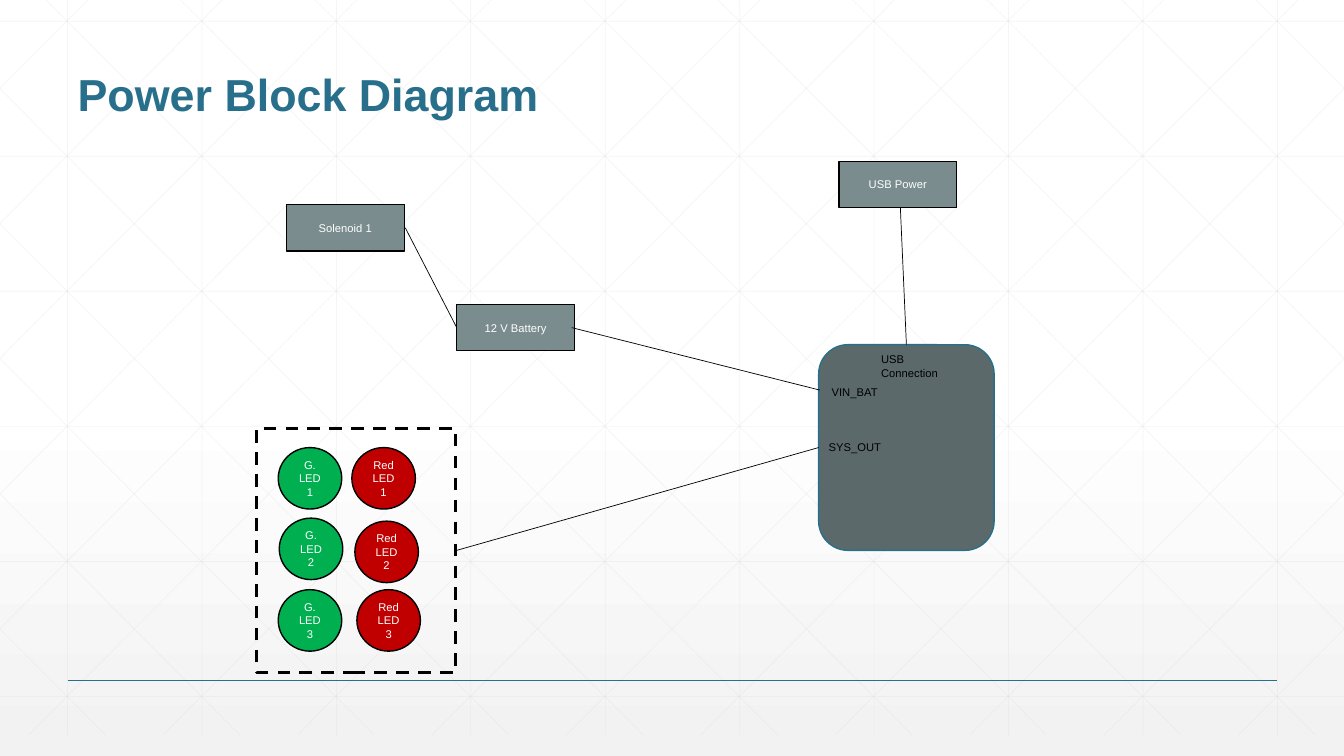
"""Build the power block diagram slide."""
from dataclasses import dataclass

from lxml import etree
from pptx import Presentation
from pptx.dml.color import RGBColor
from pptx.enum.dml import MSO_LINE
from pptx.enum.shapes import MSO_CONNECTOR, MSO_SHAPE
from pptx.enum.text import MSO_ANCHOR, MSO_AUTO_SIZE, PP_ALIGN
from pptx.oxml.ns import qn
from pptx.util import Inches, Pt

STRAIGHT = MSO_CONNECTOR.STRAIGHT
DASH = MSO_LINE.DASH
RECTANGLE, ROUNDED, ELLIPSE = MSO_SHAPE.RECTANGLE, MSO_SHAPE.ROUNDED_RECTANGLE, MSO_SHAPE.OVAL
TOP, MIDDLE, BOTTOM = MSO_ANCHOR.TOP, MSO_ANCHOR.MIDDLE, MSO_ANCHOR.BOTTOM
LEFT, CENTER = PP_ALIGN.LEFT, PP_ALIGN.CENTER
NO_FIT = MSO_AUTO_SIZE.NONE
WIDTH, HEIGHT = 13.33, 7.5


@dataclass(frozen=True)
class Theme:
    """Colours, font and type sizes of the slide."""
    font: str = "Arial"
    title_size: int = 32
    label_size: int = 8
    accent: str = "276F8B"
    grid: str = "D9D9D9"
    white: str = "FFFFFF"
    shade: str = "F2F2F2"
    black: str = "000000"
    block: str = "7A8C8E"
    board: str = "5B696B"
    green: str = "00B050"
    red: str = "C00000"


THEME = Theme()


def color(code):
    """Return the colour for a hex code."""
    return RGBColor.from_string(code)


def write(shape, text, size=THEME.label_size, ink=THEME.black, bold=False,
          align=LEFT, anchor=TOP, spacing=None):
    """Put formatted text into a shape."""
    frame = shape.text_frame
    frame.word_wrap = True
    frame.auto_size = NO_FIT
    frame.vertical_anchor = anchor
    para = frame.paragraphs[0]
    para.alignment = align
    para.line_spacing = spacing
    span = para.add_run()
    span.text = text
    span.font.name = THEME.font
    span.font.size = Pt(size)
    span.font.bold = bold
    span.font.color.rgb = color(ink)


def add_line(page, start, end, ink=THEME.black, weight=0.5, opacity=None):
    """Draw a straight line between two points."""
    line = page.shapes.add_connector(STRAIGHT, *map(Inches, start + end))
    line.line.color.rgb = color(ink)
    line.line.width = Pt(weight)
    properties = line.element.spPr
    etree.SubElement(properties, qn("a:effectLst"))
    if opacity is not None:
        tint = properties.find(".//" + qn("a:srgbClr"))
        etree.SubElement(tint, qn("a:alpha"), val=str(opacity * 1000))


def add_block(page, kind, place, text="", fill=None, outline=THEME.black, weight=1, dash=None):
    """Draw an outlined shape with an optional centred label."""
    block = page.shapes.add_shape(kind, *map(Inches, place))
    block.shadow.inherit = False
    if fill:
        block.fill.solid()
        block.fill.fore_color.rgb = color(fill)
    else:
        block.fill.background()
    block.line.color.rgb = color(outline)
    block.line.width = Pt(weight)
    if dash:
        block.line.dash_style = dash
    if text:
        write(block, text, ink=THEME.white, align=CENTER, anchor=MIDDLE)


def add_label(page, place, text):
    """Add a pin label."""
    write(page.shapes.add_textbox(*map(Inches, place)), text)


def add_background(page):
    """Fill the page with a soft vertical gradient."""
    fill = page.background.fill
    fill.gradient()
    fill.gradient_angle = 270
    for stop, position, code in zip(fill.gradient_stops, (0.53, 1), (THEME.white, THEME.shade)):
        stop.position = position
        stop.color.rgb = color(code)


def add_grid(page):
    """Draw the faint grid with both sets of diagonals."""
    top, bottom, step, run = -0.21, 7.29, 4 / 3, 7.46
    slope = (bottom - top) / run
    lines = [((0.67 + step * i, top), (0.67 + step * i, bottom)) for i in range(10)]
    lines += [((0, 0.21 + 1.34 * i), (WIDTH, 0.21 + 1.34 * i)) for i in range(6)]
    for i in range(-5, 10):
        origin = 0.25 + step * i
        first, last = max(0, origin), min(WIDTH, origin + run)
        high, low = (top + (x - origin) * slope for x in (first, last))
        lines.append(((first, high), (last, low)))
        lines.append(((WIDTH - first, high), (WIDTH - last, low)))
    for start, end in lines:
        add_line(page, start, end, ink=THEME.grid, opacity=25)


def add_title(page, text):
    """Format the title placeholder and lift it above the grid."""
    title = page.shapes.title
    title.left, title.top, title.width, title.height = map(Inches, (0.67, 0.25, 12, 1))
    write(title, text, size=THEME.title_size, ink=THEME.accent, bold=True,
          anchor=BOTTOM, spacing=0.9)
    title.element.getparent().append(title.element)


def add_leds(page):
    """Draw the red and green LED columns inside a dashed frame."""
    columns = (
        ("Red LED", THEME.red, ((3.49, 4.44), (3.52, 5.17), (3.54, 5.85))),
        ("G. LED", THEME.green, ((2.76, 4.44), (2.77, 5.14), (2.76, 5.85))),
    )
    for name, fill, corners in columns:
        for number, corner in enumerate(corners, 1):
            add_block(page, ELLIPSE, corner + (0.63, 0.61), f"{name} {number}", fill)
    add_block(page, RECTANGLE, (2.54, 4.25, 1.98, 2.42), weight=2.25, dash=DASH)


def add_board(page):
    """Draw the controller board with its pin labels."""
    add_block(page, ROUNDED, (8.12, 3.42, 1.74, 2.04), fill=THEME.board, outline=THEME.accent)
    add_label(page, (8.64, 3.45, 0.78, 0.37), "USB Connection")
    add_label(page, (8.15, 3.77, 0.78, 0.24), "VIN_BAT")
    add_label(page, (8.12, 4.32, 0.78, 0.24), "SYS_OUT")


def main():
    """Build and save the deck."""
    deck = Presentation()
    deck.slide_width, deck.slide_height = Inches(WIDTH), Inches(HEIGHT)
    page = deck.slides.add_slide(deck.slide_layouts[5])
    add_background(page)
    add_grid(page)
    add_line(page, (0.67, 6.75), (12.67, 6.75), ink=THEME.accent, weight=1)
    add_title(page, "Power Block Diagram")
    add_board(page)
    for text, corner in (("Solenoid 1", (2.84, 2.03)), ("12 V Battery", (4.53, 3.02)),
                         ("USB Power", (8.32, 1.6))):
        add_block(page, RECTANGLE, corner + (1.17, 0.46), text, THEME.block)
    for start, end in (((8.13, 3.87), (5.67, 3.25)), ((4.53, 5.46), (8.12, 4.44)),
                       ((8.93, 2.06), (8.99, 3.42)), ((4.02, 2.26), (4.53, 3.25))):
        add_line(page, start, end)
    add_leds(page)
    deck.save("out.pptx")


if __name__ == "__main__":
    main()
